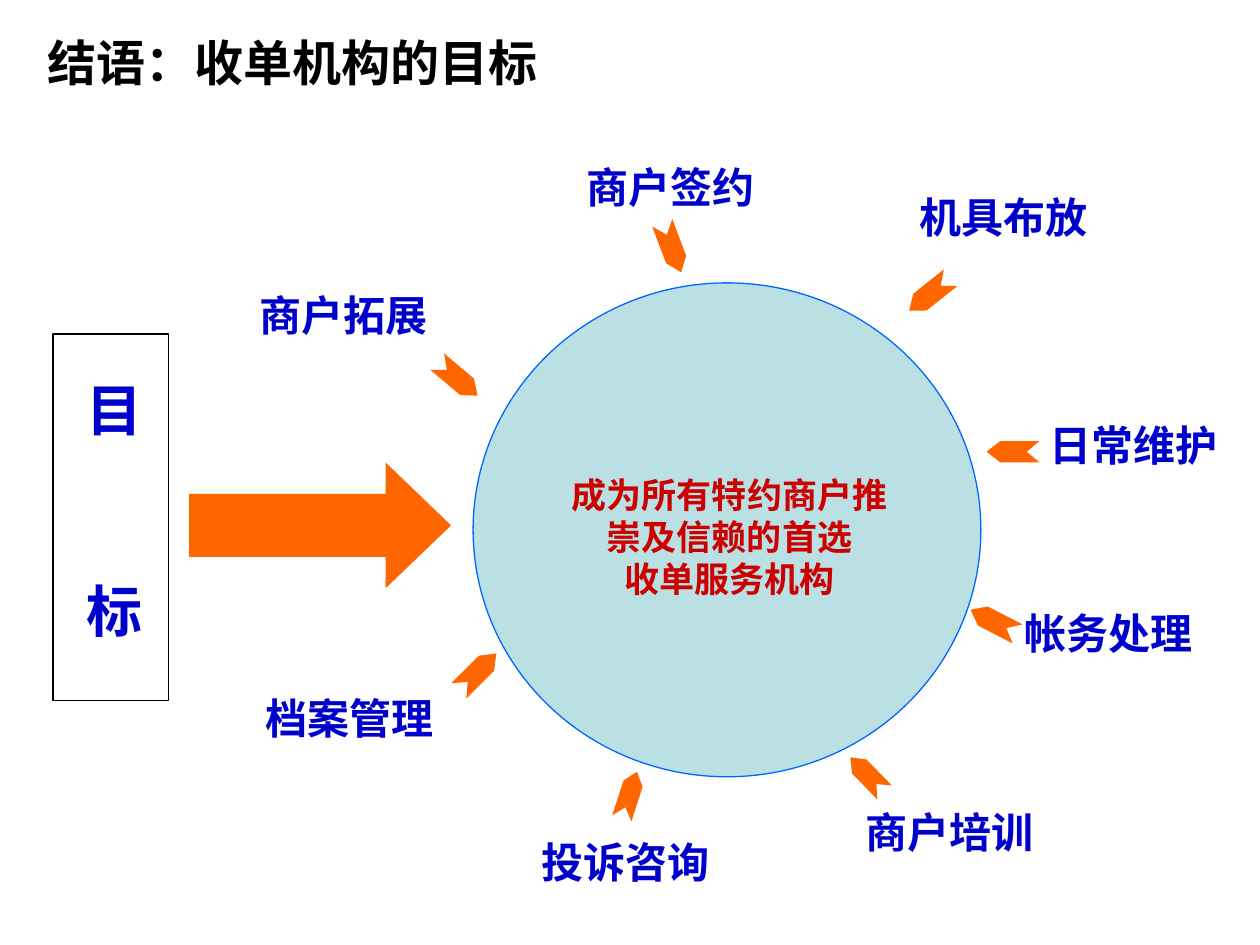
from pptx import Presentation
from pptx.dml.color import RGBColor
from pptx.enum.shapes import MSO_SHAPE as Preset
from pptx.enum.text import MSO_AUTO_SIZE as AutoSize, PP_ALIGN as Align
from pptx.util import Inches, Pt

ORANGE = RGBColor(0xFF, 0x66, 0x00)
PALE_TEAL = RGBColor(0xBB, 0xE0, 0xE3)
BRIGHT_BLUE = RGBColor(0x00, 0x66, 0xFF)
LABEL_BLUE = RGBColor(0x00, 0x00, 0xCC)
GOAL_RED = RGBColor(0xCC, 0x00, 0x00)
BLACK = RGBColor(0x00, 0x00, 0x00)

# Chevron outline as fractions of its width and height
CHEVRON = [(0, 0), (0.74, 0), (1, 0.5), (0.74, 1), (0, 1), (0.24, 0.5)]
LARGE, SMALL = (0.42, 0.17), (0.39, 0.16)

# Left, top, size, rotation
CHEVRONS = [
    (3.42, 2.92, LARGE, 40.1),
    (5.12, 1.88, LARGE, 69.2),
    (7.17, 2.25, LARGE, 141.5),
    (7.83, 3.5, LARGE, 180),
    (3.58, 5.25, LARGE, 315.2),
    (7.68, 4.85, LARGE, 207.2),
    (6.69, 6.07, SMALL, 225.7),
    (4.8, 6.23, SMALL, 287.9),
]

# Text, left, top, width, alignment
LABELS = [
    ("商户拓展", 1.96, 2.25, 1.86, Align.LEFT),
    ("商户签约", 4.56, 1.23, 1.7, Align.LEFT),
    ("机具布放", 7.2, 1.47, 1.7, Align.LEFT),
    ("日常维护", 8.23, 3.28, 1.77, Align.LEFT),
    ("帐务处理", 8.03, 4.77, 1.54, Align.LEFT),
    ("商户培训", 6.77, 6.35, 1.62, Align.LEFT),
    ("投诉咨询", 3.98, 6.59, 1.97, Align.CENTER),
    ("档案管理", 2.01, 5.45, 1.73, Align.LEFT),
]


def style_shape(shape, fill=None, line=None):
    shape.shadow.inherit = False
    if fill is None:
        shape.fill.background()
    else:
        shape.fill.solid()
        shape.fill.fore_color.rgb = fill
    if line is None:
        shape.line.fill.background()
    else:
        shape.line.color.rgb = line
        shape.line.width = Pt(0.75)


def add_preset(page, preset, place, fill=None, line=None):
    shape = page.shapes.add_shape(preset, *map(Inches, place))
    style_shape(shape, fill, line)
    return shape


def add_chevron(page, left, top, size, rotation):
    width, height = size
    points = [(Inches(left + x * width), Inches(top + y * height))
              for x, y in CHEVRON]
    builder = page.shapes.build_freeform(*points[0])
    builder.add_line_segments(points[1:], close=True)
    chevron = builder.convert_to_shape()
    style_shape(chevron, ORANGE)
    chevron.rotation = rotation


def add_text(page, lines, place, size, color, align=Align.CENTER, gap=0, wrap=True):
    box = page.shapes.add_textbox(*map(Inches, place))
    frame = box.text_frame
    frame.word_wrap = wrap
    frame.auto_size = AutoSize.SHAPE_TO_FIT_TEXT
    for index, line in enumerate(lines):
        para = frame.add_paragraph() if index else frame.paragraphs[0]
        para.alignment = align
        if index and gap:
            para.space_before = Pt(gap)
        span = para.add_run()
        span.text = line
        span.font.name = "Arial"
        span.font.size = Pt(size)
        span.font.bold = True
        span.font.color.rgb = color


def main():
    deck = Presentation()
    deck.slide_width, deck.slide_height = Inches(10), Inches(7.5)
    page = deck.slides.add_slide(deck.slide_layouts[6])

    # Big arrow leading to the central circle
    arrow = add_preset(page, Preset.RIGHT_ARROW, (1.5, 3.67, 2.08, 1), ORANGE)
    arrow.adjustments[1] = 0.52
    circle = add_preset(page, Preset.OVAL, (3.81, 2.19, 3.92, 4.03),
                        PALE_TEAL, BRIGHT_BLUE)
    circle.rotation = 270
    add_text(page, ["成为所有特约商户推崇及信赖的首选", "收单服务机构"],
             (4.33, 3.71, 2.92, 1.43), 20, GOAL_RED)

    # Goal panel
    add_preset(page, Preset.RECTANGLE, (0.42, 2.65, 0.92, 2.91), line=BLACK)
    add_text(page, ["目", "标"], (0.59, 2.93, 0.54, 2.24), 32, LABEL_BLUE, gap=76.5)

    # Services pointing at the circle
    for left, top, size, rotation in CHEVRONS:
        add_chevron(page, left, top, size, rotation)
    for text, left, top, width, align in LABELS:
        add_text(page, [text], (left, top, width, 0.5), 24, LABEL_BLUE, align)

    # Title
    add_text(page, ["结语：收单机构的目标"], (0.28, 0.21, 4.08, 0.57), 28, BLACK,
             wrap=False)

    deck.save("out.pptx")


if __name__ == "__main__":
    main()
